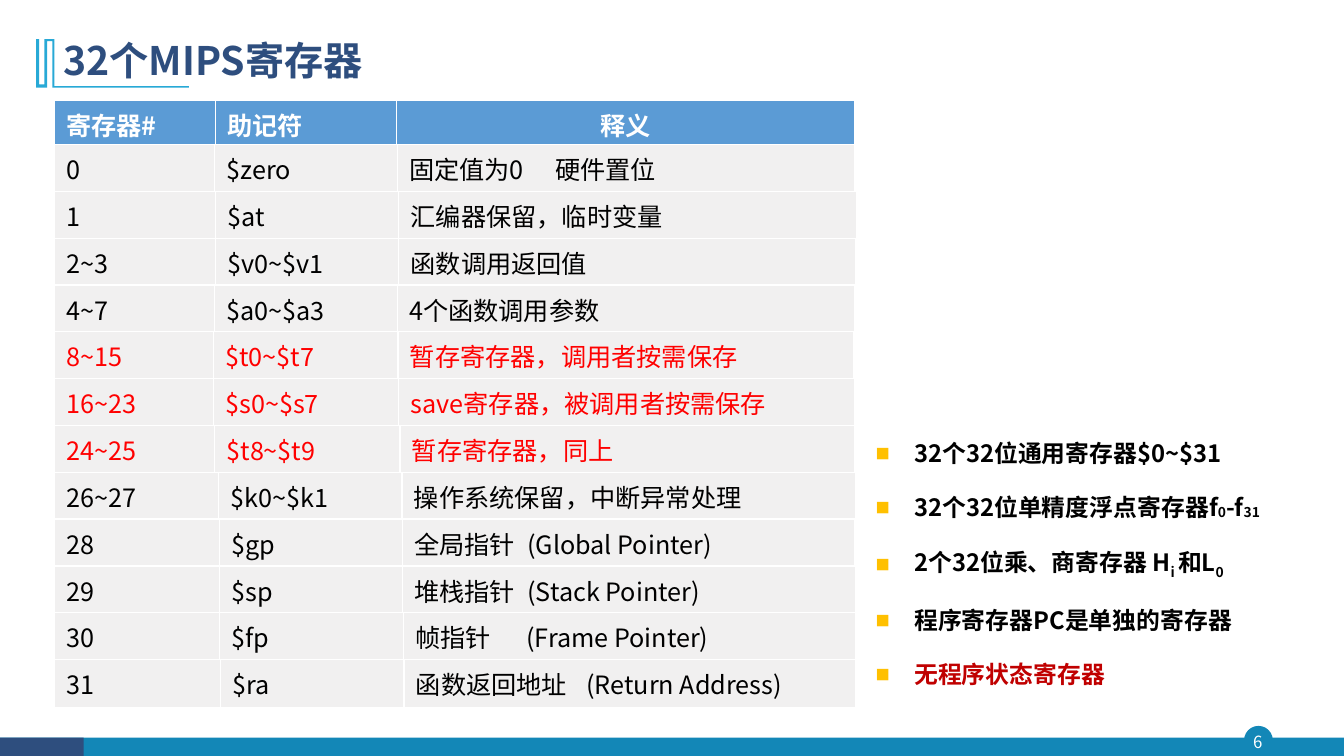
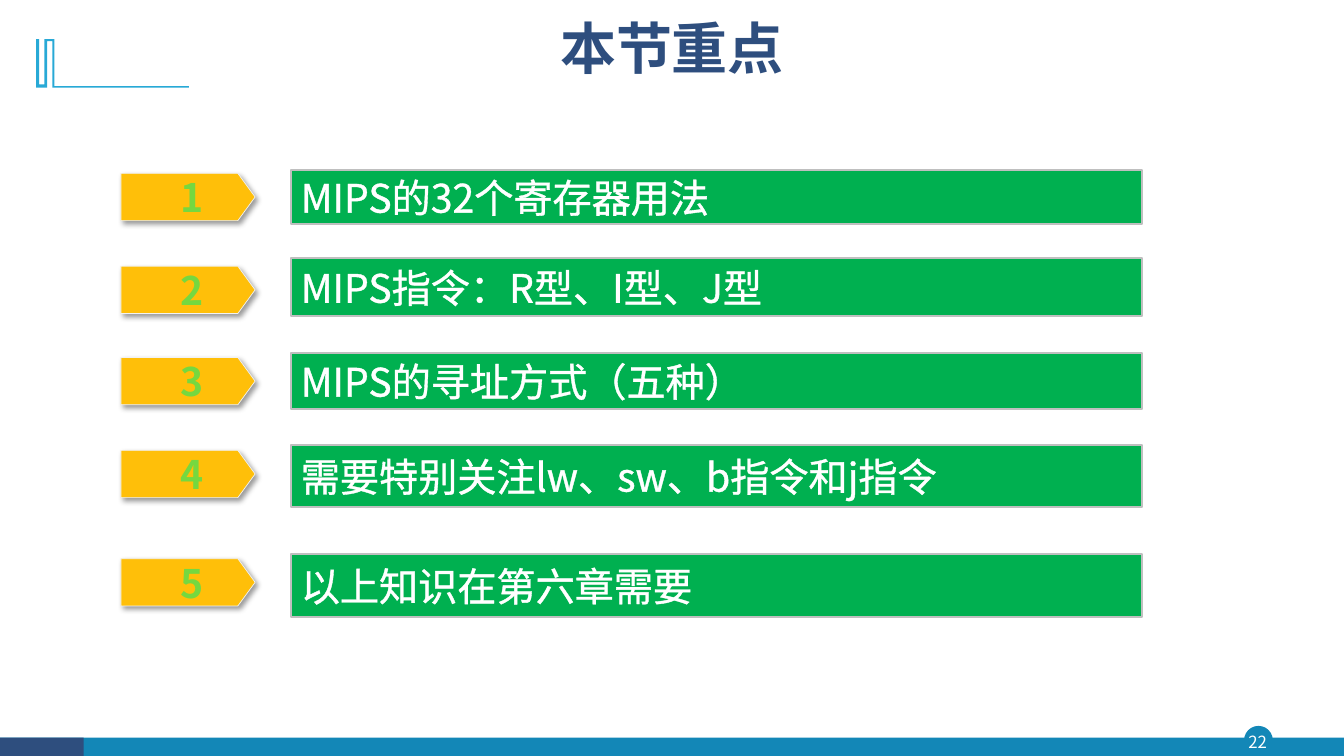
from lxml.etree import SubElement
from pptx import Presentation
from pptx.dml.color import RGBColor
from pptx.enum.shapes import MSO_SHAPE
from pptx.enum.text import MSO_ANCHOR, MSO_AUTO_SIZE, PP_ALIGN
from pptx.oxml.ns import qn
from pptx.util import Cm, Pt

FONT = "Noto Sans CJK SC"
NAVY, TEAL, SKY = "2E4E7E", "1387B7", "28A9D6"
WHITE, BLACK, RED, DARK_RED = "FFFFFF", "000000", "FF0000", "C00000"
HEADER_BLUE, ROW_GREY = "5B9BD5", "F1F0F0"
AMBER, LIME, GREEN = "FFBF09", "75D840", "00B050"
BULLET_AMBER, PALE_EDGE, GREY_EDGE = "FFC000", "F2F2F2", "BFBFBF"

SLIDE_W, SLIDE_H = 33.87, 19.05

# Corner ornament beside the title, in hundredths of a centimetre
ORNAMENT = [(137, 99), (137, 217), (476, 217), (476, 221), (132, 221), (132, 104),
            (119, 104), (119, 221), (91, 221), (91, 99), (99, 99), (99, 213),
            (112, 213), (112, 99)]

# The register list is a stack of one-row tables (cm)
STACK_LEFT, HEADER_TOP, FIRST_ROW_TOP = 1.37, 2.53, 3.64
ROW_PITCH, ROW_HEIGHT = 1.18, 1.24
REGISTER_HEADER = ("寄存器#", "助记符", "释义")
HEADER_WIDTHS = (4.06, 4.57, 11.53)
# number, mnemonic, meaning, tab stop in the meaning, column widths
REGISTERS = [
    ("0", "$zero", "固定值为0\t硬件置位", 3.68, (4.04, 4.6, 11.53)),
    ("1", "$at", "汇编器保留，临时变量", None, (4.06, 4.62, 11.53)),
    ("2~3", "$v0~$v1", "函数调用返回值", None, (4.06, 4.62, 11.51)),
    ("4~7", "$a0~$a3", "4个函数调用参数", None, (4.04, 4.6, 11.53)),
    ("8~15", "$t0~$t7", "暂存寄存器，调用者按需保存", None, (4.01, 4.65, 11.48)),
    ("16~23", "$s0~$s7", "save寄存器，被调用者按需保存", None, (4.01, 4.67, 11.48)),
    ("24~25", "$t8~$t9", "暂存寄存器，同上", None, (4.04, 4.67, 11.46)),
    ("26~27", "$k0~$k1", "操作系统保留，中断异常处理", None, (4.14, 4.62, 11.43)),
    ("28", "$gp", "全局指针\t(Global Pointer)", 2.85, (4.17, 4.6, 11.4)),
    ("29", "$sp", "堆栈指针\t(Stack Pointer)", 2.85, (4.17, 4.6, 11.43)),
    ("30", "$fp", "帧指针\t(Frame Pointer)", 2.8, (4.17, 4.62, 11.4)),
    ("31", "$ra", "函数返回地址\t(Return Address)", 4.3, (4.19, 4.62, 11.38)),
]
SAVED_BY_CONVENTION = {"8~15", "16~23", "24~25"}

# Each note: colour, then (text, baseline shift in percent) pieces
REGISTER_NOTES = [
    (BLACK, [("32个32位通用寄存器$0~$31", 0)]),
    (BLACK, [("32个32位单精度浮点寄存器f", 0), ("0", -5), ("-f", 0), ("31", -5)]),
    (BLACK, [("2个32位乘、商寄存器 H", 0), ("i ", -25), ("和L", 0), ("0", -25)]),
    (BLACK, [("程序寄存器PC是单独的寄存器", 0)]),
    (DARK_RED, [("无程序状态寄存器", 0)]),
]

# text, bar top, bar height, arrow top (cm)
KEY_POINTS = [
    ("MIPS的32个寄存器用法", 4.29, 1.35, 4.37),
    ("MIPS指令：R型、I型、J型", 6.5, 1.47, 6.71),
    ("MIPS的寻址方式（五种）", 8.89, 1.42, 9.01),
    ("需要特别关注lw、sw、b指令和j指令", 11.21, 1.57, 11.35),
    ("以上知识在第六章需要", 13.97, 1.57, 14.08),
]


def rgb(value):
    return RGBColor.from_string(value)


def box(left, top, width, height):
    return Cm(left), Cm(top), Cm(width), Cm(height)


def xml_solid(parent, color):
    fill = SubElement(parent, qn("a:solidFill"))
    SubElement(fill, qn("a:srgbClr"), val=color)


def style_run(run, size, color, bold=False):
    font = run.font
    font.size, font.bold, font.name = Pt(size), bold, FONT
    font.color.rgb = rgb(color)
    SubElement(run._r.get_or_add_rPr(), qn("a:ea"), typeface=FONT)


def write(frame, text, size, color, bold=False, align=PP_ALIGN.LEFT):
    frame.text = text
    paragraph = frame.paragraphs[0]
    paragraph.alignment = align
    for run in paragraph.runs:
        style_run(run, size, color, bold)
    return paragraph


def set_insets(frame, left=0.0, top=0.0, right=0.0, bottom=0.0):
    frame.margin_left, frame.margin_top = Cm(left), Cm(top)
    frame.margin_right, frame.margin_bottom = Cm(right), Cm(bottom)


def paint(shape, fill, edge=None, edge_width=1):
    shape.shadow.inherit = False
    shape.fill.solid()
    shape.fill.fore_color.rgb = rgb(fill)
    if edge:
        shape.line.color.rgb = rgb(edge)
        shape.line.width = Pt(edge_width)
    else:
        shape.line.fill.background()
    return shape


def decorate_layout(layout, slide):
    """Draw the ornament and footer on the slide, then move them to its layout."""
    shapes = slide.shapes
    badge = shapes.add_shape(MSO_SHAPE.OVAL, *box(31.37, 18.31, 0.69, 0.69))
    band = shapes.add_shape(MSO_SHAPE.RECTANGLE, *box(0, 18.59, SLIDE_W, 0.46))
    corner = shapes.add_shape(MSO_SHAPE.RECTANGLE, *box(0, 18.59, 2.11, 0.46))
    outline = shapes.build_freeform(*ORNAMENT[0], scale=Cm(0.01))
    outline.add_line_segments(ORNAMENT[1:], close=True)
    paint(badge, TEAL, TEAL)
    paint(band, TEAL)
    paint(corner, NAVY)
    ornament = paint(outline.convert_to_shape(), SKY)
    for part in (badge, band, corner, ornament):
        layout.shapes._spTree.append(part._element)


def add_heading(slide, text, place, size, align, number):
    """Fill the title placeholder and write the slide number."""
    title = slide.shapes.title
    title.left, title.top, title.width, title.height = box(*place)
    frame = title.text_frame
    frame.auto_size = MSO_AUTO_SIZE.NONE
    frame.vertical_anchor = MSO_ANCHOR.MIDDLE
    write(frame, text, size, NAVY, True, align).line_spacing = 0.9
    page = slide.shapes.add_textbox(*box(31.29, 18.31, 0.81, 0.79)).text_frame
    set_insets(page)
    page.vertical_anchor = MSO_ANCHOR.MIDDLE
    write(page, str(number), 12, WHITE, align=PP_ALIGN.CENTER)


def fill_cell(cell, text, fill, color, bold=False, align=PP_ALIGN.LEFT, tab=None):
    set_insets(cell, 0.3, 0.15, 0.3, 0.15)
    properties = cell._tc.get_or_add_tcPr()
    for side, width in (("lnL", 1), ("lnR", 1), ("lnT", 1), ("lnB", 3)):
        xml_solid(SubElement(properties, qn(f"a:{side}"), w=str(Pt(width))), WHITE)
    cell.fill.solid()
    cell.fill.fore_color.rgb = rgb(fill)
    paragraph = write(cell.text_frame, text, 18, color, bold, align)
    if tab:
        stops = SubElement(paragraph._p.get_or_add_pPr(), qn("a:tabLst"))
        SubElement(stops, qn("a:tab"), pos=str(Cm(tab)), algn="l")


def add_row_table(slide, top, widths):
    """Add a one-row table and return its cells."""
    place = box(STACK_LEFT, top, sum(widths), ROW_HEIGHT)
    table = slide.shapes.add_table(1, len(widths), *place).table
    for column, width in zip(table.columns, widths):
        column.width = Cm(width)
    return table.rows[0].cells


def add_register_tables(slide):
    for cell, label in zip(add_row_table(slide, HEADER_TOP, HEADER_WIDTHS),
                           REGISTER_HEADER):
        align = PP_ALIGN.CENTER if label == "释义" else PP_ALIGN.LEFT
        fill_cell(cell, label, HEADER_BLUE, WHITE, True, align)
    for index, (*texts, tab, widths) in enumerate(REGISTERS):
        color = RED if texts[0] in SAVED_BY_CONVENTION else BLACK
        cells = add_row_table(slide, FIRST_ROW_TOP + index * ROW_PITCH, widths)
        for cell, text in zip(cells, texts):
            fill_cell(cell, text, ROW_GREY, color, tab=tab if "\t" in text else None)


def add_square_bullet(paragraph):
    properties = paragraph._p.get_or_add_pPr()
    properties.set("marL", str(Cm(0.97)))
    properties.set("indent", str(Cm(-0.97)))
    SubElement(SubElement(properties, qn("a:buClr")), qn("a:srgbClr"),
               val=BULLET_AMBER)
    SubElement(properties, qn("a:buSzPct"), val="60000")
    SubElement(properties, qn("a:buFont"), typeface=FONT)
    SubElement(properties, qn("a:buChar"), char="■")


def add_register_notes(slide):
    frame = slide.shapes.add_textbox(*box(21.82, 10.64, 10.97, 7.44)).text_frame
    frame.word_wrap = True
    for index, (color, pieces) in enumerate(REGISTER_NOTES):
        paragraph = frame.add_paragraph() if index else frame.paragraphs[0]
        paragraph.alignment = PP_ALIGN.JUSTIFY
        paragraph.line_spacing = 1.4
        if index:
            paragraph.space_before = Pt(10)
        add_square_bullet(paragraph)
        for text, shift in pieces:
            run = paragraph.add_run()
            run.text = text
            style_run(run, 17, color, True)
            if shift:
                run._r.get_or_add_rPr().set("baseline", str(shift * 1000))


def cast_shadow(shape):
    effects = shape._element.spPr.find(qn("a:effectLst"))
    shadow = SubElement(effects, qn("a:outerShdw"), blurRad=str(Pt(4)),
                        dist=str(Pt(3)), dir="2700000", algn="tl", rotWithShape="0")
    tint = SubElement(shadow, qn("a:srgbClr"), val=BLACK)
    SubElement(tint, qn("a:alpha"), val="40000")


def add_key_point(slide, number, text, bar_top, bar_height, arrow_top):
    arrow = slide.shapes.add_shape(MSO_SHAPE.PENTAGON, *box(3.05, arrow_top, 3.38, 1.19))
    arrow.adjustments[0] = 0.365
    paint(arrow, AMBER, PALE_EDGE, 0.5)
    cast_shadow(arrow)
    set_insets(arrow.text_frame, left=0.44)
    arrow.text_frame.vertical_anchor = MSO_ANCHOR.MIDDLE
    write(arrow.text_frame, str(number), 28, LIME, True, PP_ALIGN.CENTER)

    bar = slide.shapes.add_shape(MSO_SHAPE.RECTANGLE, *box(7.33, bar_top, 21.46, bar_height))
    paint(bar, GREEN, GREY_EDGE, 1.5)
    bar.text_frame.vertical_anchor = MSO_ANCHOR.MIDDLE
    label = write(bar.text_frame, text, 28, WHITE).runs[0]
    properties = label._r.get_or_add_rPr()
    outline = SubElement(properties, qn("a:ln"), w=str(Pt(0.75)))
    xml_solid(outline, WHITE)
    properties.insert(0, outline)


def main():
    deck = Presentation()
    deck.slide_width, deck.slide_height = Cm(SLIDE_W), Cm(SLIDE_H)
    layout = deck.slide_layouts.get_by_name("Title Only")

    registers = deck.slides.add_slide(layout)
    decorate_layout(layout, registers)
    add_heading(registers, "32个MIPS寄存器", (1.35, 0.71, 11.96, 1.73), 28,
                PP_ALIGN.LEFT, 6)
    add_register_tables(registers)
    add_register_notes(registers)

    summary = deck.slides.add_slide(layout)
    add_heading(summary, "本节重点", (7.88, 0.23, 18.11, 2.11), 40,
                PP_ALIGN.CENTER, 22)
    for number, point in enumerate(KEY_POINTS, 1):
        add_key_point(summary, number, *point)

    deck.save("out.pptx")


if __name__ == "__main__":
    main()
